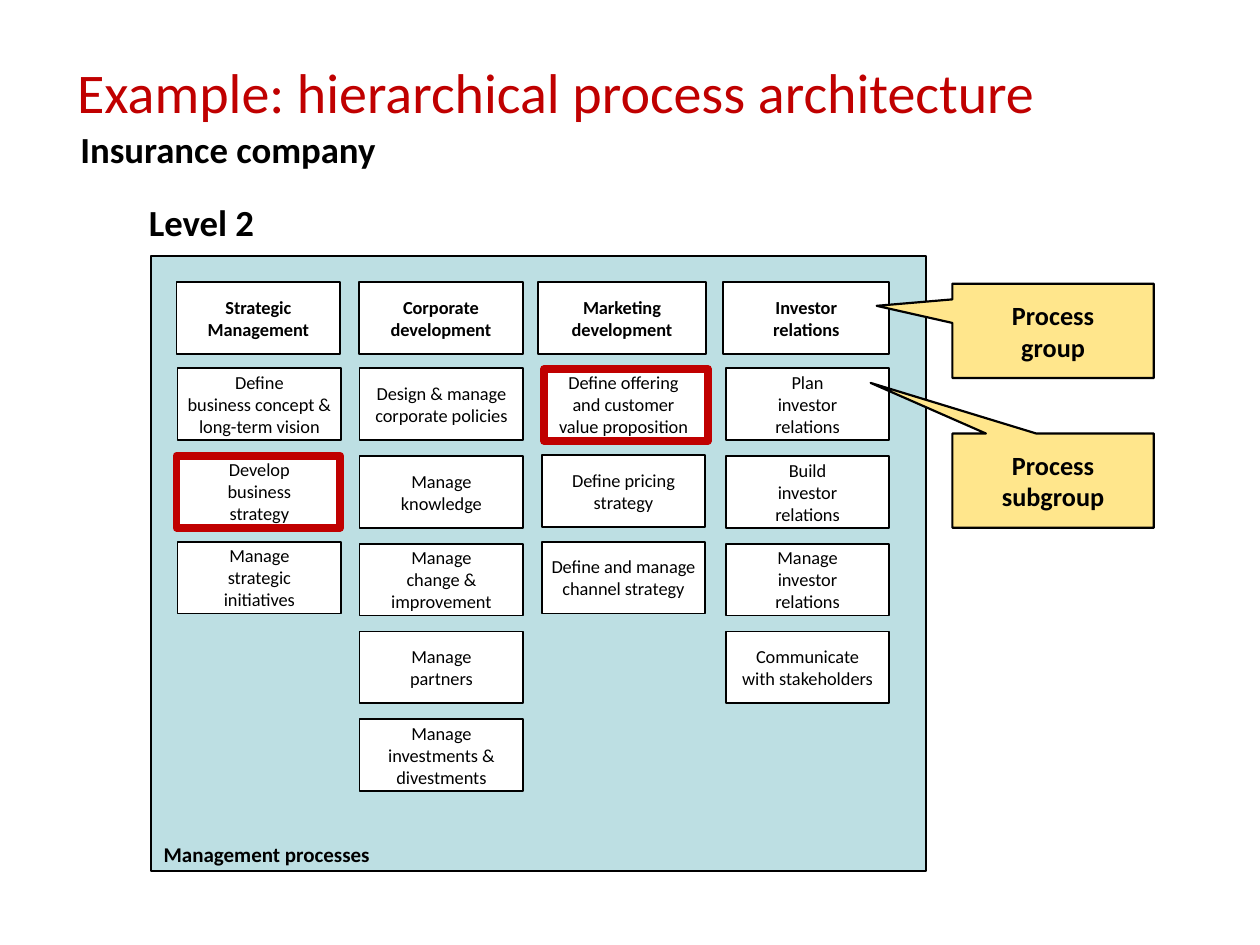
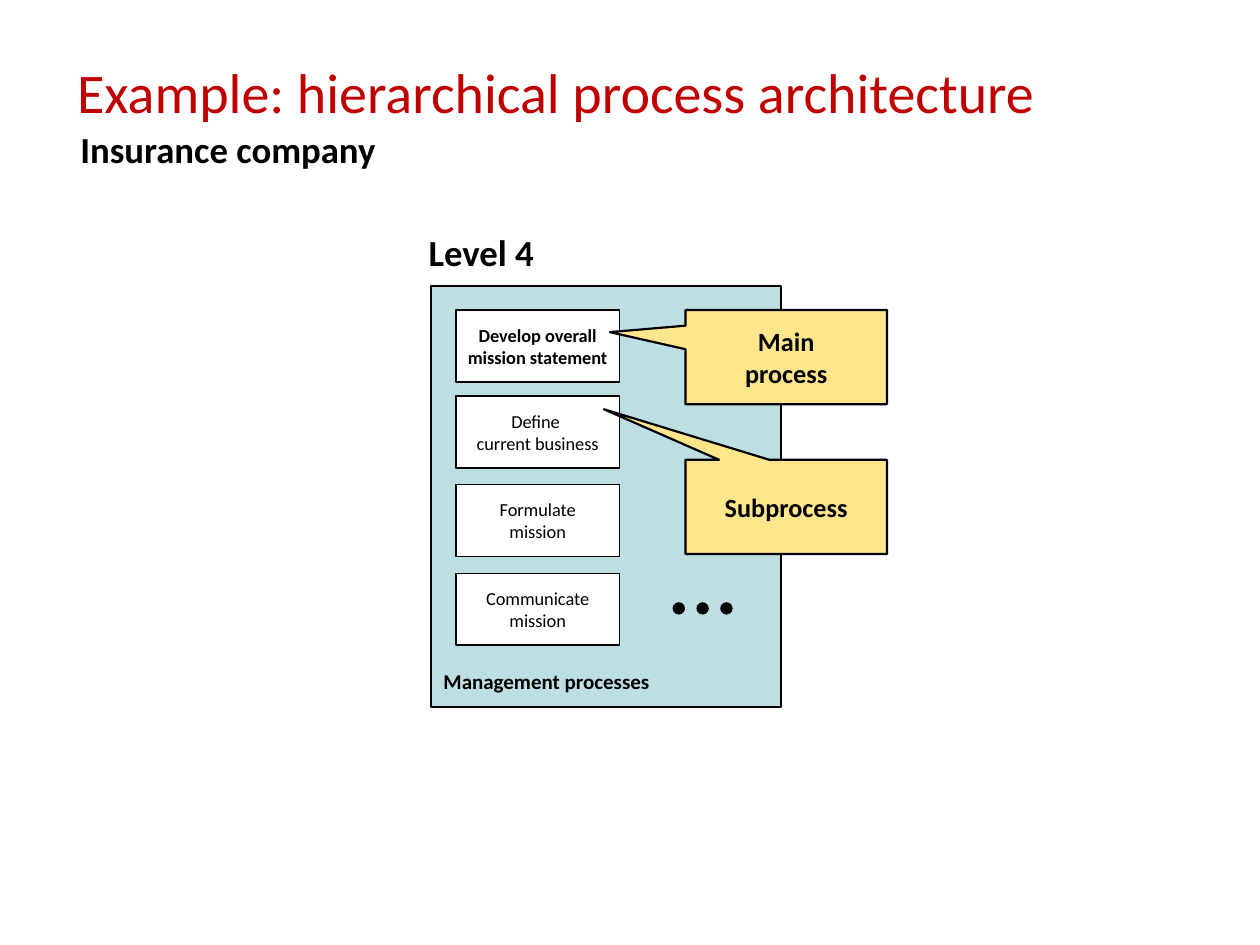
from pptx import Presentation
from pptx.dml.color import RGBColor
from pptx.enum.shapes import MSO_SHAPE
from pptx.enum.text import MSO_ANCHOR, PP_ALIGN
from pptx.util import Cm, Pt

# Content: lengths in centimetres
TITLE = "Example: hierarchical process architecture"
SUBTITLE = "Insurance company"
PANEL_LABEL = "Management processes"

SLIDES = [
    {
        "level": "Level 2",
        "panel": (3.05, 5.16, 15.62, 12.4),
        "label_top": 16.84,
        "header_top": 5.69,
        "first_row_top": 7.42,
        "columns": [
            {"header": "Strategic\nManagement", "header_left": 3.56, "header_width": 3.3,
             "left": 3.58, "pitch": 1.75,
             "processes": ["Define\nbusiness concept &\nlong-term vision",
                           "Develop\nbusiness\nstrategy",
                           "Manage\nstrategic\ninitiatives"]},
            {"header": "Corporate\ndevelopment", "header_left": 7.24, "header_width": 3.3,
             "left": 7.25, "pitch": 1.77,
             "processes": ["Design & manage\ncorporate policies",
                           "Manage\nknowledge",
                           "Manage\nchange &\nimprovement",
                           "Manage\npartners",
                           "Manage\ninvestments &\ndivestments"]},
            {"header": "Marketing\ndevelopment", "header_left": 10.85, "header_width": 3.38,
             "left": 10.92, "pitch": 1.75,
             "processes": ["Define offering\nand customer\nvalue proposition",
                           "Define pricing\nstrategy",
                           "Define and manage\nchannel strategy"]},
            {"header": "Investor\nrelations", "header_left": 14.58, "header_width": 3.35,
             "left": 14.63, "pitch": 1.77,
             "processes": ["Plan\ninvestor\nrelations",
                           "Build\ninvestor\nrelations",
                           "Manage\ninvestor\nrelations",
                           "Communicate\nwith stakeholders"]},
        ],
        "callouts": ["Process\ngroup", "Process\nsubgroup"],
        "callout_origin": (19.2, 5.72),
        "highlights": [(10.97, 7.44), (3.56, 9.19)],
        "dots": [],
    },
    {
        "level": "Level 4",
        "panel": (8.69, 5.77, 7.06, 8.48),
        "label_top": 13.36,
        "header_top": 6.25,
        "first_row_top": 7.98,
        "columns": [
            {"header": "Develop overall\nmission statement", "header_left": 9.19,
             "header_width": 3.3, "left": 9.19, "pitch": 1.79,
             "processes": ["Define \ncurrent business",
                           "Formulate\nmission",
                           "Communicate\nmission"]},
        ],
        "callouts": ["Main\nprocess", "Subprocess"],
        "callout_origin": (13.82, 6.25),
        "highlights": [],
        "dots": [(13.56 + 0.48 * number, 12.14) for number in range(3)],
    },
]

# Shared sizes and formats
BOX_WIDTH, BOX_HEIGHT = 3.3, 1.45
CALLOUT_WIDTH, CALLOUT_HEIGHT, CALLOUT_PITCH = 4.06, 1.9, 3.02
CALLOUT_TIPS = [(-0.876, -0.265), (-0.906, -1.037)]
DOT_SIZE = 0.25

BLACK, WHITE, RED, TEAL, YELLOW = "000000", "FFFFFF", "C00000", "BDDFE3", "FFE68C"
TITLE_FONT = {"size": Pt(32), "bold": False}
HEADING_FONT = {"size": Pt(21), "bold": True}
LABEL_FONT = {"size": Pt(12), "bold": True}
HEADER_FONT = {"size": Pt(10.5), "bold": True}
PROCESS_FONT = {"size": Pt(10.5), "bold": False}
CALLOUT_FONT = {"size": Pt(15), "bold": True}


def paint(color_format, color):
    color_format.rgb = RGBColor.from_string(color)


def write(shape, text, font, color=BLACK, align=PP_ALIGN.LEFT,
          anchor=MSO_ANCHOR.TOP, wrap=False):
    frame = shape.text_frame
    frame.text = text
    frame.word_wrap = wrap
    frame.vertical_anchor = anchor
    for paragraph in frame.paragraphs:
        paragraph.alignment = align
        for run in paragraph.runs:
            for name, value in {"name": "Calibri", **font}.items():
                setattr(run.font, name, value)
            paint(run.font.color, color)


def add_shape(slide, kind, area, fill=None, line=None, width=1):
    shape = slide.shapes.add_shape(kind, *map(Cm, area))
    shape.shadow.inherit = False
    for part, color in ((shape.fill, fill), (shape.line.fill, line)):
        if color:
            part.solid()
            paint(part.fore_color, color)
        else:
            part.background()
    if line:
        shape.line.width = Pt(width)
    return shape


def add_box(slide, area, text, font):
    shape = add_shape(slide, MSO_SHAPE.RECTANGLE, area, WHITE, BLACK)
    write(shape, text, font, align=PP_ALIGN.CENTER, anchor=MSO_ANCHOR.MIDDLE)


def add_label(slide, area, text, font):
    write(slide.shapes.add_textbox(*map(Cm, area)), text, font)


def add_headings(slide):
    title = slide.shapes.title
    places = {"left": 1.3, "top": 0.74, "width": 22.4, "height": 2.21}
    for name, value in places.items():
        setattr(title, name, Cm(value))
    write(title, TITLE, TITLE_FONT, RED, anchor=MSO_ANCHOR.MIDDLE, wrap=True)
    add_label(slide, (1.37, 2.44, 6.53, 1.14), SUBTITLE, HEADING_FONT)


def add_column(slide, column, header_top, first_row_top):
    add_box(slide, (column["header_left"], header_top, column["header_width"], BOX_HEIGHT),
            column["header"], HEADER_FONT)
    for row, process in enumerate(column["processes"]):
        top = first_row_top + row * column["pitch"]
        add_box(slide, (column["left"], top, BOX_WIDTH, BOX_HEIGHT), process, PROCESS_FONT)


def add_callouts(slide, texts, origin):
    left, top = origin
    for row, (text, tip) in enumerate(zip(texts, CALLOUT_TIPS)):
        area = (left, top + row * CALLOUT_PITCH, CALLOUT_WIDTH, CALLOUT_HEIGHT)
        callout = add_shape(slide, MSO_SHAPE.RECTANGULAR_CALLOUT, area, YELLOW, BLACK, 1.25)
        for index, value in enumerate(tip):
            callout.adjustments[index] = value
        write(callout, text, CALLOUT_FONT, align=PP_ALIGN.CENTER,
              anchor=MSO_ANCHOR.MIDDLE, wrap=True)


# Build the slides
presentation = Presentation()
presentation.slide_width, presentation.slide_height = Cm(25.4), Cm(19.05)

for content in SLIDES:
    slide = presentation.slides.add_slide(presentation.slide_layouts[5])
    add_headings(slide)

    # Panel with its level and name
    left, top = content["panel"][:2]
    add_shape(slide, MSO_SHAPE.RECTANGLE, content["panel"], TEAL, BLACK)
    add_label(slide, (left - 0.3, top - 1.26, 2.67, 1.14), content["level"], HEADING_FONT)
    add_label(slide, (left, content["label_top"], 4.7, 0.76), PANEL_LABEL, LABEL_FONT)

    # Process columns, then everything that lies over them
    for column in content["columns"]:
        add_column(slide, column, content["header_top"], content["first_row_top"])
    add_callouts(slide, content["callouts"], content["callout_origin"])
    for corner in content["highlights"]:
        add_shape(slide, MSO_SHAPE.RECTANGLE, (*corner, BOX_WIDTH, BOX_HEIGHT),
                  line=RED, width=4.5)
    for corner in content["dots"]:
        add_shape(slide, MSO_SHAPE.FLOWCHART_CONNECTOR, (*corner, DOT_SIZE, DOT_SIZE), BLACK)

presentation.save("out.pptx")
